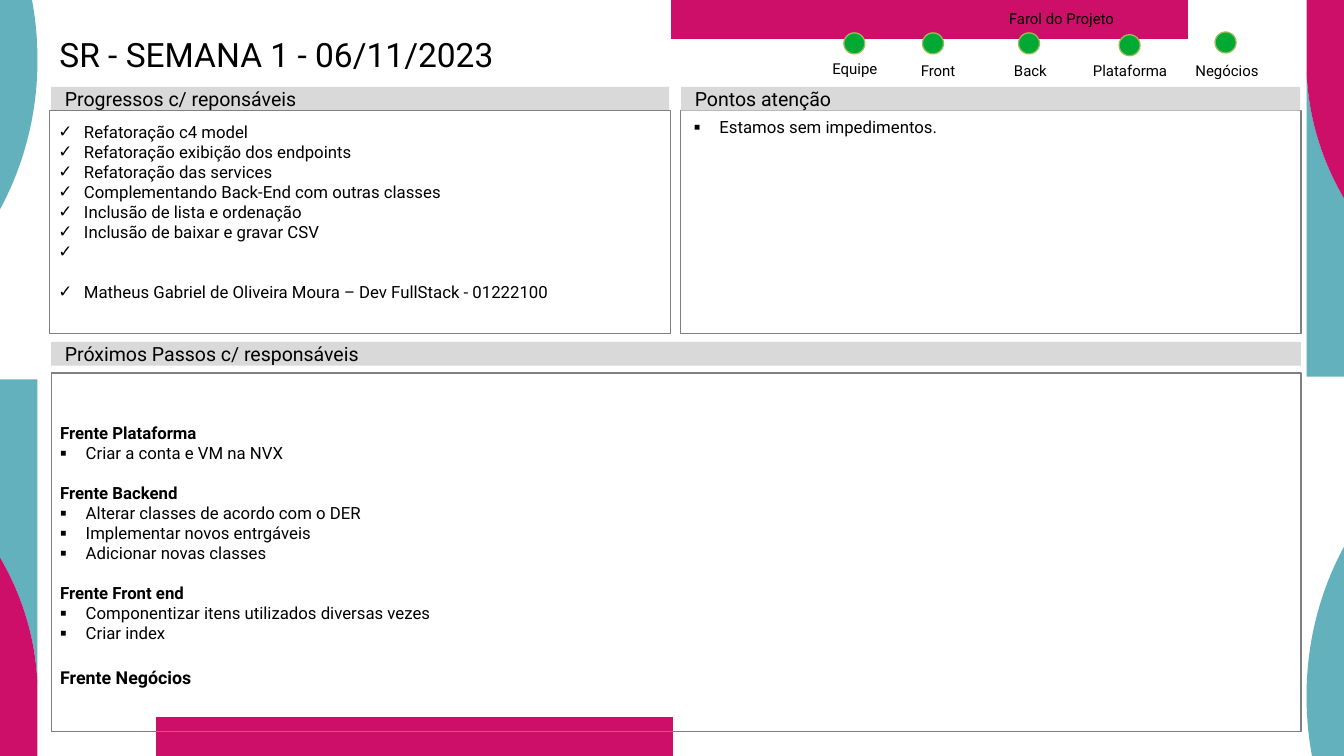
from lxml import etree
from pptx import Presentation
from pptx import util as u
from pptx.dml.color import RGBColor
from pptx.enum import shapes, text
from pptx.oxml import ns

WIDTH, HEIGHT = 14.7, 8.27
FONT = "Roboto"
BLACK = RGBColor(0, 0, 0)
TEAL = RGBColor(0x63, 0xB1, 0xBC)
PINK = RGBColor(0xCE, 0x0F, 0x69)
LIGHT_GRAY = RGBColor(0xD9, 0xD9, 0xD9)
GRAY = RGBColor(0x80, 0x80, 0x80)
GREEN = RGBColor(0x00, 0xA9, 0x33)
OLIVE = RGBColor(0x9B, 0xBB, 0x59)
CHECK, SQUARE = "✓", "▪"
BODY_SIZE, LINE_GAP = 13.2, 15.6
PANEL_INSETS = (0.1, 0.12, 0.1, 0.05)
LABEL_INSETS = (0.06, 0.06, 0.06, 0)

# Lamp left and top, label left and top, relative to the traffic-light area
LIGHTS = [
    ("Equipe", 0.37, 0.01, 0, 0.3),
    ("Front", 1.23, 0.01, 0.91, 0.32),
    ("Back", 2.28, 0.01, 1.92, 0.32),
    ("Plataforma", 3.38, 0.03, 3.01, 0.32),
    ("Negócios", 4.43, 0, 4.07, 0.32),
]
# Each line: wording, bullet, size, space before
PROGRESS = [(line, CHECK, BODY_SIZE, 0) for line in (
    "Refatoração c4 model",
    "Refatoração exibição dos endpoints",
    "Refatoração das services",
    "Complementando Back-End com outras classes",
    "Inclusão de lista e ordenação",
    "Inclusão de baixar e gravar CSV",
    " ",
)] + [("Matheus Gabriel de Oliveira Moura – Dev FullStack - 01222100",
       CHECK, BODY_SIZE, LINE_GAP)]
ATTENTION = [("Estamos sem impedimentos.", SQUARE, BODY_SIZE, 0)]
NEXT_STEPS = [
    ("Frente Plataforma", None, BODY_SIZE, 0),
    ("Criar a conta e VM na NVX", SQUARE, BODY_SIZE, 0),
    ("Frente Backend", None, BODY_SIZE, LINE_GAP),
    ("Alterar classes de acordo com o DER", SQUARE, BODY_SIZE, 0),
    ("Implementar novos entrgáveis", SQUARE, BODY_SIZE, 0),
    ("Adicionar novas classes", SQUARE, BODY_SIZE, 0),
    ("Frente Front end", None, BODY_SIZE, LINE_GAP),
    ("Componentizar itens utilizados diversas vezes", SQUARE, BODY_SIZE, 0),
    ("Criar index", SQUARE, BODY_SIZE, 0),
    ("Frente Negócios", None, 14, 18.8),
]
# Outline steps: one point is a corner, three points are a curve
ARC = [[(0.41, 7.49)], [(0.39, 6.98), (0.24, 6.51), (0, 6.1)]]
BORDER = [
    ([[(0.35, 0)], [(0, 0)], [(0, 2.29)],
      [(0.26, 1.81), (0.41, 1.25), (0.41, 0.66)],
      [(0.41, 0.43), (0.39, 0.21), (0.35, 0)]], TEAL),
    ([[(1.71, 7.84)], [(7.36, 7.84)], [(7.36, 8.27)], [(1.71, 8.27)]], PINK),
    (ARC + [[(0, 4.15)], [(0.41, 4.15)]], TEAL),
    (ARC + [[(0, 8.27)], [(0.41, 8.27)]], PINK),
]


def paint(shape, fill=None, line=None):
    """Give a shape its fill and outline, without a shadow."""
    shape.shadow.inherit = False
    if fill is None:
        shape.fill.background()
    else:
        shape.fill.solid()
        shape.fill.fore_color.rgb = fill
    if line is None:
        shape.line.fill.background()
    else:
        shape.line.color.rgb = line
        shape.line.width = u.Pt(1)


def add_preset(page, box, fill=None, line=None, kind=shapes.MSO_SHAPE.RECTANGLE):
    """Add a preset shape in the box."""
    shape = page.shapes.add_shape(kind, *map(u.Inches, box))
    paint(shape, fill, line)
    return shape


def add_textbox(page, box):
    """Add an empty text box in the box."""
    return page.shapes.add_textbox(*map(u.Inches, box))


def set_frame(shape, insets, anchor=text.MSO_ANCHOR.TOP, wrap=True):
    """Set the insets, anchor and wrapping of a shape's text."""
    frame = shape.text_frame
    (frame.margin_left, frame.margin_top,
     frame.margin_right, frame.margin_bottom) = map(u.Inches, insets)
    frame.vertical_anchor = anchor
    frame.word_wrap = wrap
    return frame


def write(para, wording, size, bold=False, align=text.PP_ALIGN.LEFT):
    """Write one formatted paragraph."""
    para.text = wording
    para.alignment = align
    for span in para.runs:
        span.font.name = FONT
        span.font.size = u.Pt(size)
        span.font.bold = bold
        span.font.color.rgb = BLACK


def add_bullet(para, mark):
    """Give a paragraph a black bullet and a hanging indent."""
    props = para._p.get_or_add_pPr()
    props.set("marL", str(u.Inches(0.28)))
    props.set("indent", str(-u.Inches(0.28)))
    colour = etree.SubElement(props, ns.qn("a:buClr"))
    etree.SubElement(colour, ns.qn("a:srgbClr"), val=str(BLACK))
    etree.SubElement(props, ns.qn("a:buFont"), typeface=FONT)
    etree.SubElement(props, ns.qn("a:buChar"), char=mark)


def write_list(frame, lines):
    """Write bulleted lines, and bold headings where there is no bullet."""
    for index, (wording, mark, size, before) in enumerate(lines):
        para = frame.add_paragraph() if index else frame.paragraphs[0]
        write(para, wording, size, bold=mark is None)
        para.space_before = u.Pt(before)
        if mark:
            add_bullet(para, mark)


def add_outline(page, steps, colour):
    """Draw a closed outline of corners and cubic curves."""
    steps = [[(u.Inches(x), u.Inches(y)) for x, y in step] for step in steps]
    builder = page.shapes.build_freeform(*steps[0][-1])
    builder.add_line_segments([step[-1] for step in steps[1:]], close=True)
    shape = builder.convert_to_shape()
    segments = list(shape._element.iter(ns.qn("a:lnTo")))
    for segment, step in zip(segments, steps[1:]):
        if len(step) == 3:
            segment.tag = ns.qn("a:cubicBezTo")
            for place, (x, y) in enumerate(step[:2]):
                point = etree.Element(ns.qn("a:pt"), x=str(x - shape.left), y=str(y - shape.top))
                segment.insert(place, point)
    paint(shape, colour)


def add_border(page, box):
    """Draw the border pieces, each also turned half around in the box."""
    left, top, width, height = box
    for steps, colour in BORDER:
        add_outline(page, [[(left + x, top + y) for x, y in step] for step in steps], colour)
        add_outline(page, [[(left + width - x, top + height - y) for x, y in step]
                           for step in steps], colour)


def add_title(page, box):
    """Write the slide title."""
    frame = set_frame(add_textbox(page, box), (0.12, 0, 0.12, 0))
    write(frame.paragraphs[0], "SR - SEMANA 1 - 06/11/2023", 26.4)
    frame.paragraphs[0].line_spacing = 0.9


def add_label(shape, wording):
    """Write a small centred label at the foot of a shape."""
    frame = set_frame(shape, LABEL_INSETS, text.MSO_ANCHOR.BOTTOM, wrap=False)
    write(frame.paragraphs[0], wording, 11.8, align=text.PP_ALIGN.CENTER)


def add_lights(page, box):
    """Draw the project lights with their heading and labels."""
    left, top = box[:2]
    heading = add_preset(page, (left + 1.94, top - 0.28, 1.62, 0.23), PINK)
    add_label(heading, "Farol do Projeto")
    for name, lamp_x, lamp_y, label_x, label_y in LIGHTS:
        add_preset(page, (left + lamp_x, top + lamp_y, 0.23, 0.23),
                   GREEN, OLIVE, shapes.MSO_SHAPE.OVAL)
        add_label(add_textbox(page, (left + label_x, top + label_y, 0.98, 0.2)), name)


def add_header(page, box, wording):
    """Draw a gray section header."""
    frame = set_frame(add_preset(page, box, LIGHT_GRAY), (0.15, 0, 0.15, 0),
                      text.MSO_ANCHOR.MIDDLE)
    write(frame.paragraphs[0], wording, 15.4)


def add_progress(page, box):
    """Draw the progress panel."""
    left, top, width, height = box
    add_header(page, (left + 0.02, top, width - 0.03, 0.26), "Progressos c/ reponsáveis")
    panel = add_preset(page, (left, top + 0.26, width, height - 0.26), line=GRAY)
    write_list(set_frame(panel, PANEL_INSETS), PROGRESS)


def add_attention(page, box):
    """Draw the panel of points of attention."""
    left, top, width, height = box
    add_preset(page, (left, top + 0.26, width, height - 0.26), line=GRAY)
    add_header(page, (left + 0.01, top, width - 0.02, 0.26), "Pontos atenção")
    note = add_textbox(page, (left + 0.05, top + 0.28, width - 0.05, 0.32))
    write_list(set_frame(note, (0.1, 0.05, 0.1, 0.05)), ATTENTION)


def add_next_steps(page, box):
    """Draw the full-width panel of next steps."""
    left, top, width, height = box
    add_header(page, (left, top, width, 0.26), "Próximos Passos c/ responsáveis")
    panel = add_preset(page, (left, top + 0.34, width, height - 0.34), line=GRAY)
    write_list(set_frame(panel, PANEL_INSETS, text.MSO_ANCHOR.MIDDLE), NEXT_STEPS)


deck = Presentation()
deck.slide_width, deck.slide_height = u.Inches(WIDTH), u.Inches(HEIGHT)
page = deck.slides.add_slide(deck.slide_layouts[6])
add_border(page, (0, 0, WIDTH, HEIGHT))
add_title(page, (0.53, 0.42, 13.23, 0.87))
add_lights(page, (8.86, 0.35, 5.05, 0.52))
add_progress(page, (0.54, 0.95, 6.79, 2.7))
add_attention(page, (7.44, 0.95, 6.79, 2.7))
add_next_steps(page, (0.56, 3.74, 13.67, 4.26))
deck.save("out.pptx")
